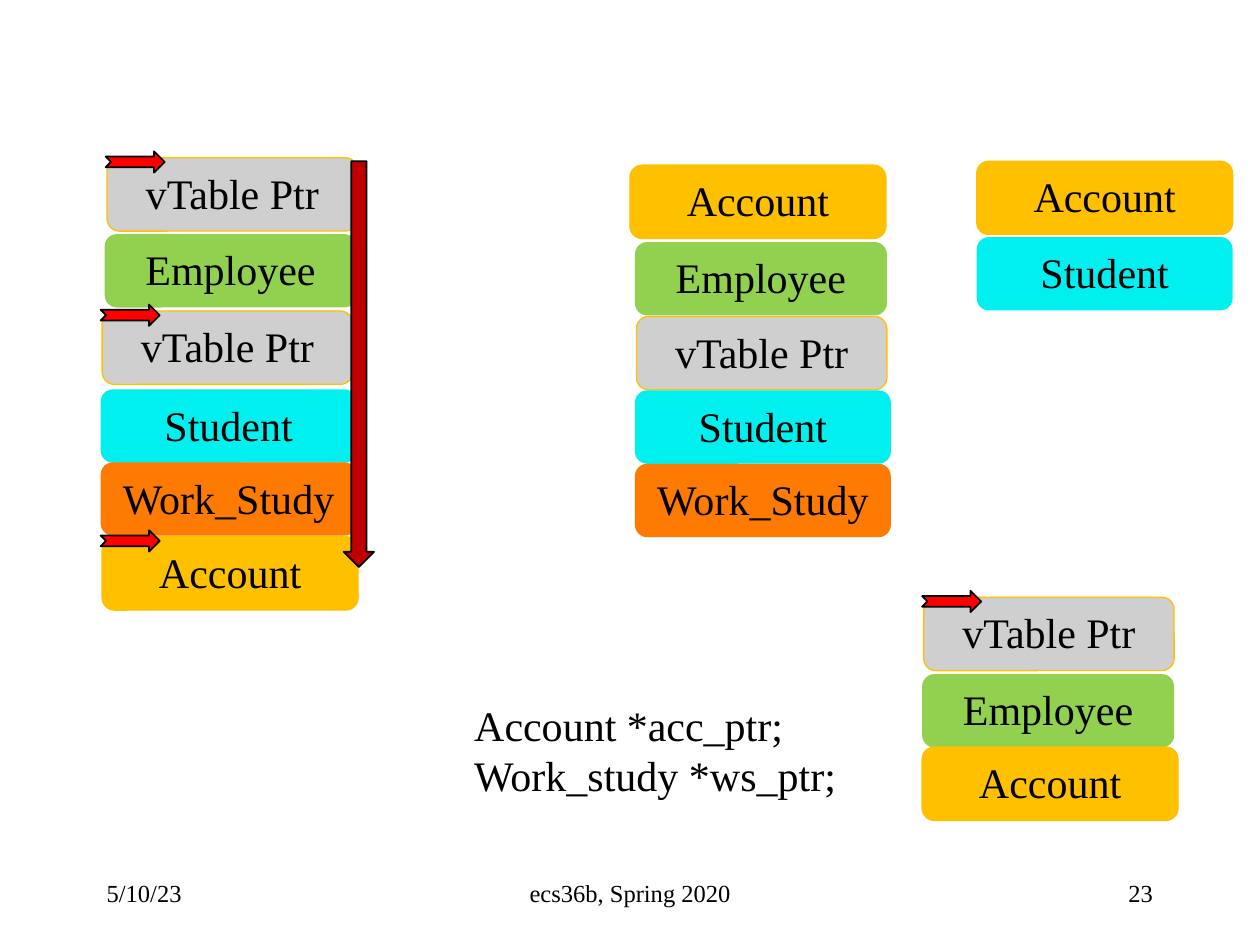
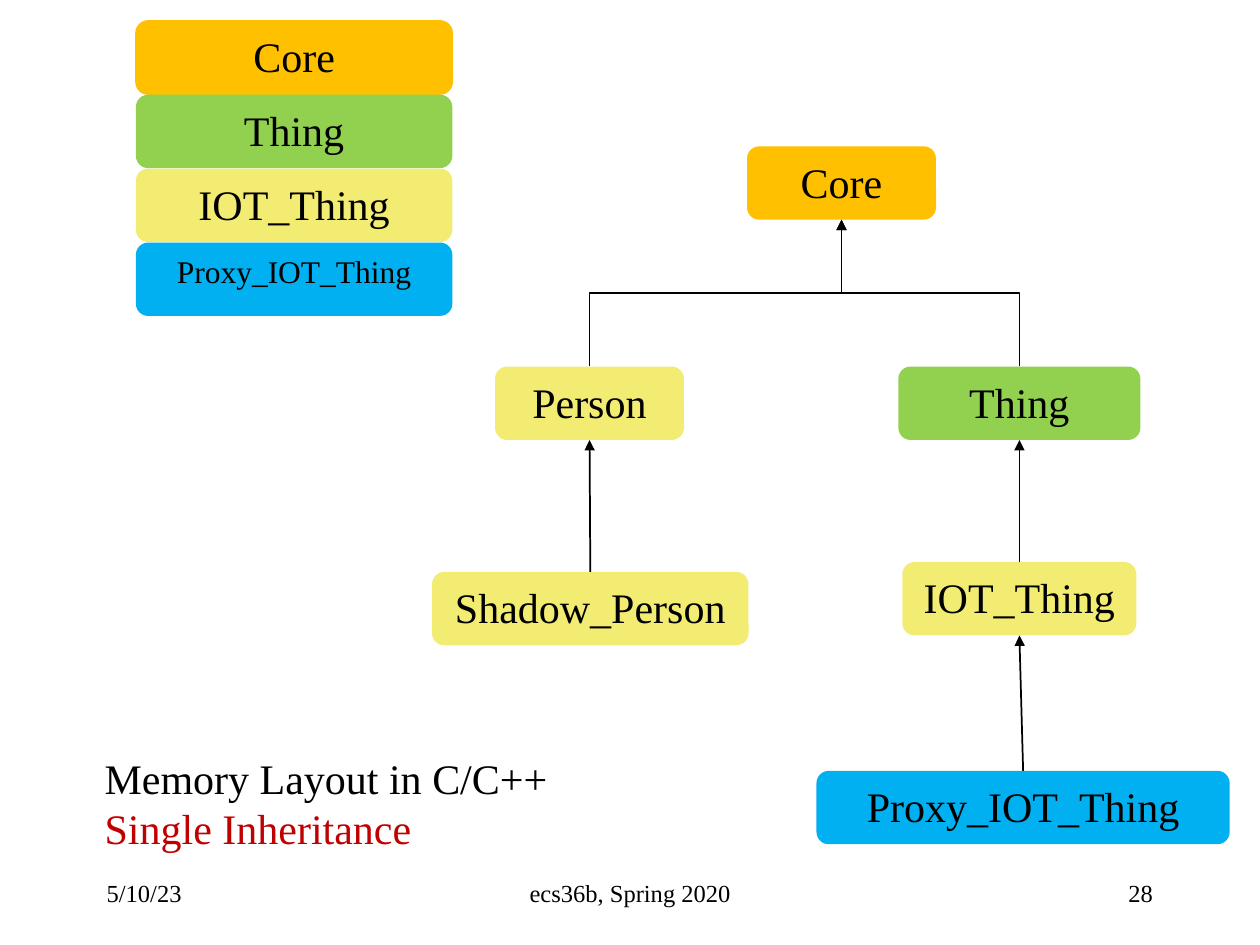
from lxml import etree
from pptx import Presentation
from pptx.dml.color import RGBColor
from pptx.enum.shapes import MSO_CONNECTOR, MSO_SHAPE
from pptx.enum.text import MSO_ANCHOR, MSO_AUTO_SIZE, PP_ALIGN
from pptx.oxml.ns import qn
from pptx.util import Cm, Pt

ROUNDED = MSO_SHAPE.ROUNDED_RECTANGLE
NOTCHED_ARROW = MSO_SHAPE.NOTCHED_RIGHT_ARROW
DOWN_ARROW = MSO_SHAPE.DOWN_ARROW
STRAIGHT = MSO_CONNECTOR.STRAIGHT
ELBOW = MSO_CONNECTOR.ELBOW
TOP, MIDDLE = MSO_ANCHOR.TOP, MSO_ANCHOR.MIDDLE
LEFT, CENTER, RIGHT = PP_ALIGN.LEFT, PP_ALIGN.CENTER, PP_ALIGN.RIGHT
FIT_SHAPE = MSO_AUTO_SIZE.SHAPE_TO_FIT_TEXT
SIDE_TOP, SIDE_BOTTOM = 0, 2

FONT = "Times New Roman"
BLACK, DARK_RED, RED = "000000", "C00000", "FF0000"
AMBER, GREEN, CYAN, ORANGE = "FFC000", "92D050", "00F0F0", "FF7A00"
GRAY, YELLOW, BLUE = "CFCFCF", "F3EC72", "00B0F0"
BOX_HEIGHT = 1.48

MEMBERS = {
    "vTable Ptr": (5.05, GRAY, AMBER),
    "Employee": (5.08, GREEN, None),
    "Student": (5.16, CYAN, None),
    "Work_Study": (5.16, ORANGE, None),
    "Account": (5.16, AMBER, AMBER),
}
OBJECT_PARTS = [
    ("vTable Ptr", 2.16, 3.18, True),
    ("Employee", 2.11, 4.72, False),
    ("vTable Ptr", 2.06, 6.27, True),
    ("Student", 2.03, 7.85, False),
    ("Work_Study", 2.03, 9.32, False),
    ("Account", 2.06, 10.82, True),
    ("Account", 12.7, 3.33, False),
    ("Employee", 12.8, 4.88, False),
    ("vTable Ptr", 12.83, 6.38, False),
    ("Student", 12.8, 7.87, False),
    ("Work_Study", 12.8, 9.35, False),
    ("Account", 19.69, 3.25, False),
    ("Student", 19.69, 4.78, False),
    ("vTable Ptr", 18.62, 12.04, True),
    ("Employee", 18.59, 13.59, False),
    ("Account", 18.59, 15.06, False),
]
CLASSES = {
    "Core": (15.06, 2.95, 3.81, AMBER),
    "Person": (9.98, 7.39, 3.81, YELLOW),
    "Thing": (18.11, 7.39, 4.88, GREEN),
    "Shadow_Person": (8.71, 11.53, 6.38, YELLOW),
    "IOT_Thing": (18.19, 11.33, 4.72, YELLOW),
    "Proxy_IOT_Thing": (16.46, 15.54, 8.33, BLUE),
}
MEMORY_LAYERS = [
    ("Core", AMBER, AMBER, 24),
    ("Thing", GREEN, None, 24),
    ("IOT_Thing", YELLOW, None, 24),
    ("Proxy_IOT_Thing", BLUE, None, 18),
]


def color(hex_code):
    return RGBColor.from_string(hex_code)


def apply(target, values):
    for name, value in values.items():
        setattr(target, name, value)


def write(shape, lines, size, align, **frame_format):
    frame = shape.text_frame
    apply(frame, {"word_wrap": True, "vertical_anchor": TOP, **frame_format})
    for index, (text, hex_code) in enumerate(lines):
        para = frame.add_paragraph() if index else frame.paragraphs[0]
        para.alignment = align
        span = para.add_run()
        span.text = text
        apply(span.font, {"name": FONT, "size": Pt(size)})
        span.font.color.rgb = color(hex_code)


def add_text(page, place, lines, size, align, **frame_format):
    box = page.shapes.add_textbox(*map(Cm, place))
    write(box, lines, size, align, **frame_format)


def add_figure(page, kind, place, fill, line, line_width, adjustments):
    shape = page.shapes.add_shape(kind, *map(Cm, place))
    shape.shadow.inherit = False
    for index, value in enumerate(adjustments):
        shape.adjustments[index] = value
    shape.fill.solid()
    shape.fill.fore_color.rgb = color(fill)
    if line:
        shape.line.color.rgb = color(line)
        shape.line.width = Pt(line_width)
    else:
        shape.line.fill.background()
    return shape


def add_box(page, name, left, top, width, fill, line=None, size=24):
    place = (left, top, width, BOX_HEIGHT)
    box = add_figure(page, ROUNDED, place, fill, line, 0.75, [0.167])
    write(box, [(name, BLACK)], size, CENTER)
    return box


def add_arrow(page, kind, place, fill):
    add_figure(page, kind, place, fill, BLACK, 1, [0.5, 0.5])


def style_connector(link):
    link.line.color.rgb = color(BLACK)
    link.line.width = Pt(1)
    etree.SubElement(link.line._get_or_add_ln(), qn("a:tailEnd"), type="triangle")
    etree.SubElement(link._element.spPr, qn("a:effectLst"))


def link_straight(page, child, parent):
    link = page.shapes.add_connector(
        STRAIGHT, child.left + child.width // 2, child.top,
        parent.left + parent.width // 2, parent.top + parent.height)
    link.begin_connect(child, SIDE_TOP)
    link.end_connect(parent, SIDE_BOTTOM)
    style_connector(link)


def link_elbow(page, child, parent):
    start_x, start_y = child.left + child.width // 2, child.top
    end_x, end_y = parent.left + parent.width // 2, parent.top + parent.height
    middle_x, middle_y = (start_x + end_x) // 2, (start_y + end_y) // 2
    half_rise, half_run = (start_y - end_y) // 2, abs(end_x - start_x) // 2
    side = 1 if start_x < end_x else -1
    link = page.shapes.add_connector(
        ELBOW, middle_x + side * half_rise, middle_y + half_run,
        middle_x - side * half_rise, middle_y - half_run)
    link.rotation = 90 * side
    style_connector(link)


def add_footer(page, number):
    for text, left, width, align in [
        ("5/10/23", 1.9, 5.29, LEFT),
        ("ecs36b, Spring 2020", 8.68, 8.05, CENTER),
        (number, 18.2, 5.29, RIGHT),
    ]:
        add_text(page, (left, 17.36, width, 1.27), [(text, BLACK)], 14, align,
                 vertical_anchor=MIDDLE)


def add_note(page, place, lines):
    add_text(page, place, lines, 24, LEFT, word_wrap=False, auto_size=FIT_SHAPE)


def build_object_slide(page):
    add_footer(page, "23")
    for name, left, top, has_pointer in OBJECT_PARTS:
        add_box(page, name, left, top, *MEMBERS[name])
        if has_pointer:
            add_arrow(page, NOTCHED_ARROW, (left - 0.03, top - 0.13, 1.19, 0.43), RED)
    add_arrow(page, DOWN_ARROW, (6.93, 3.25, 0.61, 8.18), DARK_RED)
    add_note(page, (9.31, 13.97, 7.87, 2.31),
             [("Account *acc_ptr;", BLACK), ("Work_study *ws_ptr;", BLACK)])


def build_inheritance_slide(page):
    add_footer(page, "28")
    boxes = {name: add_box(page, name, *values) for name, values in CLASSES.items()}
    for child in ("Person", "Thing"):
        link_elbow(page, boxes[child], boxes["Core"])
    for child, parent in [
        ("IOT_Thing", "Thing"),
        ("Proxy_IOT_Thing", "IOT_Thing"),
        ("Shadow_Person", "Person"),
    ]:
        link_straight(page, boxes[child], boxes[parent])
    for row, (name, fill, line, size) in enumerate(MEMORY_LAYERS):
        add_box(page, name, 2.74, 0.42 + 1.49 * row, 6.38, fill, line, size)
    add_note(page, (1.86, 15.04, 9.53, 2.31),
             [("Memory Layout in C/C++", BLACK), ("Single Inheritance", DARK_RED)])


def main():
    deck = Presentation()
    apply(deck, {"slide_width": Cm(25.4), "slide_height": Cm(19.05)})
    for build in (build_object_slide, build_inheritance_slide):
        build(deck.slides.add_slide(deck.slide_layouts[6]))
    deck.save("out.pptx")


if __name__ == "__main__":
    main()
